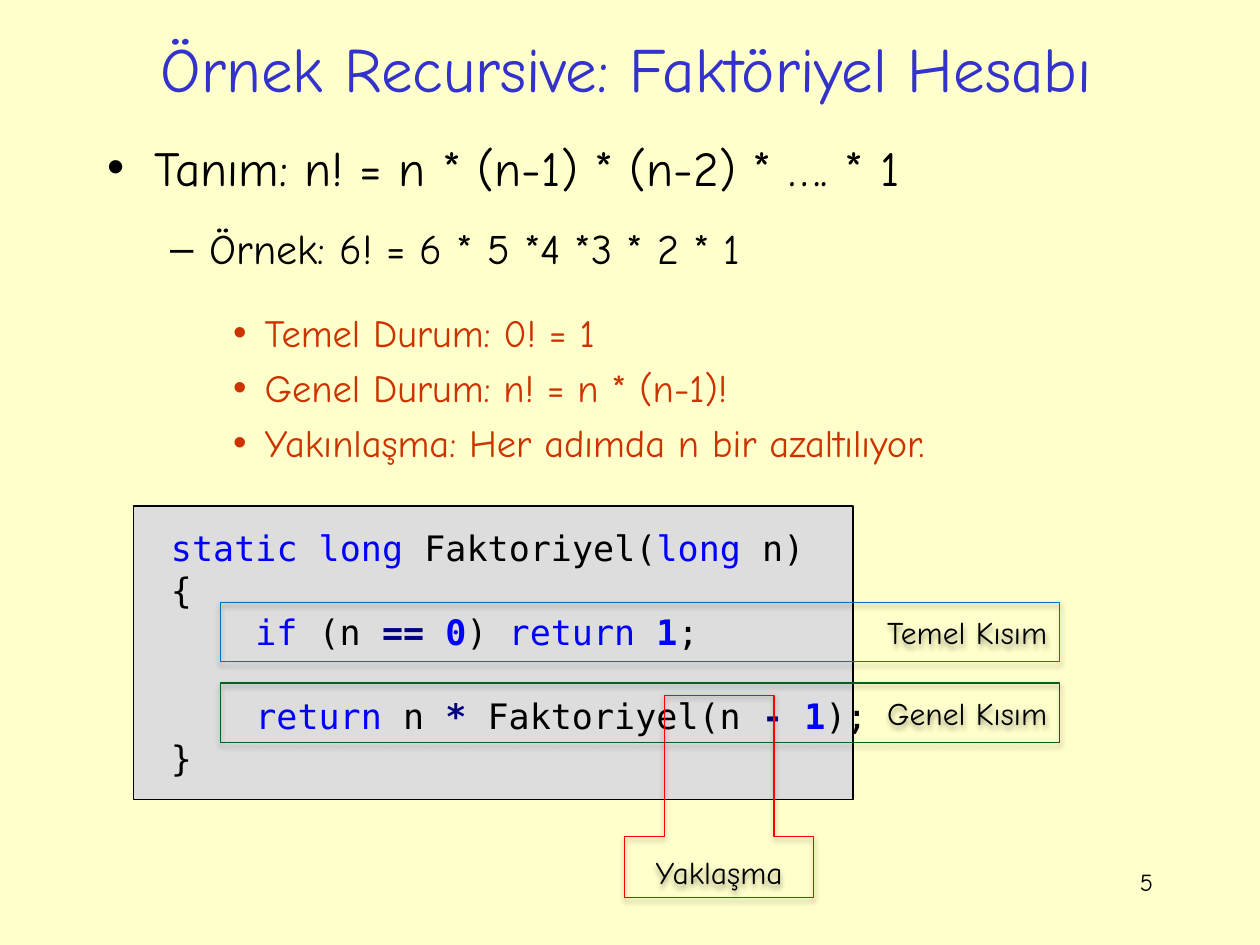
"""Build the slide on the recursive factorial."""
from pptx import Presentation
from pptx.dml.color import RGBColor
from pptx.enum import shapes, text
from pptx.oxml import parse_xml
from pptx.oxml.ns import nsdecls, qn
from pptx.util import Pt

CREAM = RGBColor(0xFF, 0xFF, 0xCC)
INDIGO = RGBColor(0x33, 0x33, 0xCC)
RUST = RGBColor(0xCC, 0x33, 0x00)
BLACK = RGBColor(0, 0, 0)
GREY = RGBColor(0xDD, 0xDD, 0xDD)
BLUE = RGBColor(0, 0, 0xFF)
NAVY = RGBColor(0, 0, 0x80)
SKY = RGBColor(0, 0x70, 0xC0)
GREEN = RGBColor(0x05, 0x61, 0x1B)
RED = RGBColor(0xFF, 0, 0)
HAND, MONO = "Comic Neue", "DejaVu Sans Mono"
KIND, ALIGN, ANCHOR = shapes.MSO_SHAPE, text.PP_ALIGN, text.MSO_ANCHOR
SHADOW = (
    '<a:outerShdw %s blurRad="39370" dist="20320" dir="5400000" rotWithShape="0">'
    '<a:srgbClr val="000000"><a:alpha val="38000"/></a:srgbClr></a:outerShdw>'
) % nsdecls("a")


def put(item, **vals):
    for key, val in vals.items():
        setattr(item, key, val)


def write(par, words, size, color=BLACK, face=HAND, bold=False):
    run = par.add_run()
    run.text = words
    put(run.font, size=Pt(size), name=face, bold=bold)
    run.font.color.rgb = color


deck = Presentation()
put(deck, slide_width=Pt(720), slide_height=Pt(540))
slide = deck.slides.add_slide(deck.slide_layouts[1])
slide.background.fill.solid()
slide.background.fill.fore_color.rgb = CREAM

title, body = slide.placeholders
put(title, left=Pt(52), top=Pt(11), width=Pt(612), height=Pt(55))
put(title.text_frame, vertical_anchor=ANCHOR.MIDDLE, auto_size=text.MSO_AUTO_SIZE.NONE)
head = title.text_frame.paragraphs[0]
head.alignment = ALIGN.CENTER
write(head, "Örnek Recursive: Faktöriyel Hesabı", 36, INDIGO)

put(body, left=Pt(54), top=Pt(75), width=Pt(612), height=Pt(204.5))
body.text_frame.auto_size = text.MSO_AUTO_SIZE.NONE
points = [
    (0, 28, 6, BLACK, "Tanım: n! = n * (n-1) * (n-2) * …. * 1"),
    (1, 24, 15, BLACK, "Örnek: 6! = 6 * 5 *4 *3 * 2 * 1"),
    (2, 22, 20.5, RUST, "Temel Durum: 0! = 1"),
    (2, 22, 5, RUST, "Genel Durum: n! = n * (n-1)!"),
    (2, 22, 5, RUST, "Yakınlaşma: Her adımda n bir azaltılıyor."),
]
for i, (level, size, gap, color, words) in enumerate(points):
    par = body.text_frame.add_paragraph() if i else body.text_frame.paragraphs[0]
    put(par, level=level, space_before=Pt(gap))
    write(par, words, size, color)

page = slide.shapes.add_textbox(Pt(516), Pt(492), Pt(150), Pt(36))
page.text_frame.word_wrap = True
foot = page.text_frame.paragraphs[0]
foot.alignment = ALIGN.RIGHT
write(foot, "5", 14)

panel = slide.shapes.add_shape(KIND.RECTANGLE, Pt(76.25), Pt(289.25), Pt(411.25), Pt(167.75))
panel.shadow.inherit = False
panel.fill.solid()
panel.fill.fore_color.rgb = GREY
panel.line.color.rgb = BLACK
panel.line.width = Pt(0.75)
put(panel.text_frame, word_wrap=False, vertical_anchor=ANCHOR.MIDDLE)
styles = {
    "key": {"color": BLUE},
    "num": {"color": BLUE, "bold": True},
    "op": {"color": NAVY, "bold": True},
    "": {},
}
code = [
    (0, 0, [("key", "static long "), ("", "Faktoriyel("), ("key", "long"), ("", " n)")]),
    (0, 0, [("", "{")]),
    (1, 0, [("key", "if"), ("", " (n "), ("op", "== "), ("num", "0"), ("", ") "),
            ("key", "return "), ("num", "1"), ("", ";")]),
    (1, 24, [("key", "return"), ("", " n "), ("op", "* "), ("", "Faktoriyel(n "),
             ("op", "- "), ("num", "1"), ("", ");")]),
    (0, 0, [("", "}")]),
]
for i, (depth, gap, parts) in enumerate(code):
    par = panel.text_frame.add_paragraph() if i else panel.text_frame.paragraphs[0]
    put(par, alignment=ALIGN.LEFT, space_before=Pt(gap), line_spacing=Pt(24))
    par._p.get_or_add_pPr().set("marL", str(Pt(14.4 + 48.2 * depth)))
    for style, words in parts:
        write(par, words, 20, face=MONO, **styles[style])

marks = [
    (KIND.RECTANGLE, 126, 344.25, 479.5, 34, SKY, ALIGN.RIGHT, ANCHOR.MIDDLE, "Temel Kısım"),
    (KIND.RECTANGLE, 126, 390.25, 479.5, 34, GREEN, ALIGN.RIGHT, ANCHOR.MIDDLE, "Genel Kısım"),
    (KIND.RIGHT_ARROW_CALLOUT, 353.25, 401, 115.5, 108, RED, ALIGN.CENTER, ANCHOR.BOTTOM,
     "Yaklaşma"),
]
for kind, left, top, width, height, color, align, anchor, words in marks:
    mark = slide.shapes.add_shape(kind, Pt(left), Pt(top), Pt(width), Pt(height))
    mark.fill.background()
    mark.line.color.rgb = color
    mark.line.width = Pt(0.75)
    mark.shadow.inherit = False
    mark._element.spPr.find(qn("a:effectLst")).append(parse_xml(SHADOW))
    put(mark.text_frame, word_wrap=True, vertical_anchor=anchor)
    par = mark.text_frame.paragraphs[0]
    par.alignment = align
    write(par, words, 18)

mark.rotation = 270
for i, val in enumerate((0.71, 0.29, 0, 0.3)):
    mark.adjustments[i] = val
mark.text_frame._txBody.bodyPr.set("vert", "vert")

deck.save("out.pptx")
